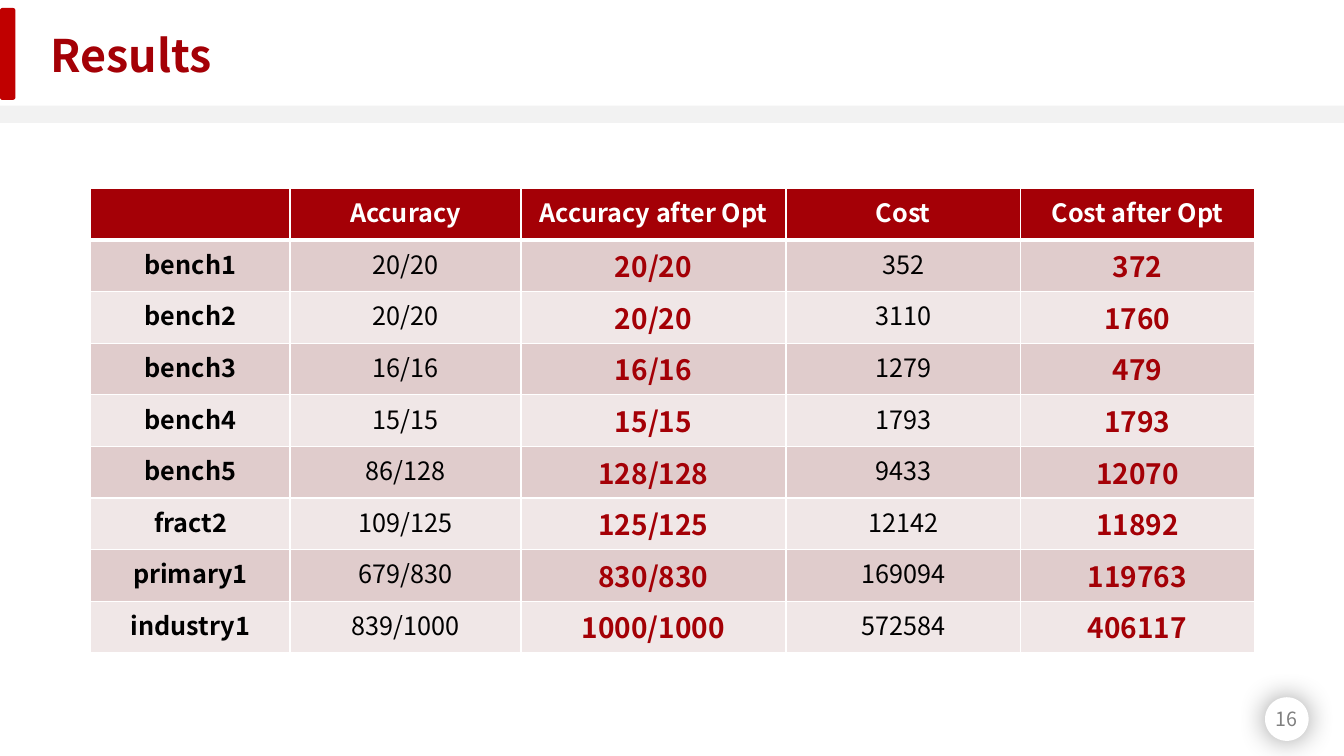
"""Build the Results slide: benchmark accuracy and cost before and after optimisation."""
from lxml import etree
from pptx import Presentation
from pptx.dml.color import RGBColor
from pptx.enum.shapes import MSO_SHAPE
from pptx.enum.text import MSO_ANCHOR, PP_ALIGN
from pptx.oxml.ns import qn
from pptx.util import Cm, Pt

RECTANGLE, ROUNDED, OVAL = MSO_SHAPE.RECTANGLE, MSO_SHAPE.ROUNDED_RECTANGLE, MSO_SHAPE.OVAL
LEFT, CENTER = PP_ALIGN.LEFT, PP_ALIGN.CENTER
MIDDLE = MSO_ANCHOR.MIDDLE

FONT = "Noto Sans CJK SC"
COLORS = {
    "red": "A40006",
    "accent": "C00000",
    "band": "F2F2F2",
    "odd_row": "E0CCCC",
    "even_row": "F0E7E7",
    "white": "FFFFFF",
    "black": "000000",
    "gray": "808080",
}

TITLE = "Results"
PAGE_NUMBER = "16"
HEADINGS = ["", "Accuracy", "Accuracy after Opt", "Cost", "Cost after Opt"]
RESULTS = [
    ("bench1", "20/20", "20/20", "352", "372"),
    ("bench2", "20/20", "20/20", "3110", "1760"),
    ("bench3", "16/16", "16/16", "1279", "479"),
    ("bench4", "15/15", "15/15", "1793", "1793"),
    ("bench5", "86/128", "128/128", "9433", "12070"),
    ("fract2", "109/125", "125/125", "12142", "11892"),
    ("primary1", "679/830", "830/830", "169094", "119763"),
    ("industry1", "839/1000", "1000/1000", "572584", "406117"),
]
COLUMN_WIDTHS = [5.02, 5.82, 6.68, 5.91, 5.89]
COLUMN_STYLES = [
    (18, "black", True),
    (18, "black", False),
    (20, "red", True),
    (18, "black", False),
    (20, "red", True),
]
HEADING_STYLE = (18, "white", True)
ROW_HEIGHT = 1.3
SLIDE_WIDTH, SLIDE_HEIGHT = 33.87, 19.05


def rgb(name):
    return RGBColor.from_string(COLORS[name])


def write(frame, text, style, align):
    size, color, bold = style
    frame.text = text
    paragraph = frame.paragraphs[0]
    paragraph.alignment = align
    for target in [paragraph, *paragraph.runs]:
        target.font.name = FONT
        target.font.size = Pt(size)
        target.font.bold = bold
        target.font.color.rgb = rgb(color)


def add_block(slide, kind, box, color):
    block = slide.shapes.add_shape(kind, *map(Cm, box))
    block.shadow.inherit = False
    block.fill.solid()
    block.fill.fore_color.rgb = rgb(color)
    block.line.fill.background()
    return block


def add_glow(shape):
    effects = shape.element.spPr.find(qn("a:effectLst"))
    glow = etree.SubElement(effects, qn("a:outerShdw"), blurRad=str(Pt(20)), dist="0",
                            dir="0", algn="ctr", rotWithShape="0")
    tint = etree.SubElement(glow, qn("a:srgbClr"), val=COLORS["black"])
    etree.SubElement(tint, qn("a:alpha"), val="40000")


def style_cell(cell, fill, bottom_width, top_width):
    properties = cell._tc.get_or_add_tcPr()
    for side, width in (("L", 1), ("R", 1), ("T", top_width), ("B", bottom_width)):
        border = etree.SubElement(properties, qn(f"a:ln{side}"), w=str(Pt(width)))
        paint = etree.SubElement(border, qn("a:solidFill"))
        etree.SubElement(paint, qn("a:srgbClr"), val=COLORS["white"])
    cell.fill.solid()
    cell.fill.fore_color.rgb = rgb(fill)


def add_results(slide):
    rows = [HEADINGS, *RESULTS]
    results = slide.shapes.add_table(
        len(rows), len(HEADINGS), Cm(2.29), Cm(4.75),
        Cm(sum(COLUMN_WIDTHS)), Cm(ROW_HEIGHT * len(rows))).table
    for column, width in zip(results.columns, COLUMN_WIDTHS):
        column.width = Cm(width)
    for r, values in enumerate(rows):
        results.rows[r].height = Cm(ROW_HEIGHT)
        fill = "red" if r == 0 else "odd_row" if r % 2 else "even_row"
        for c, value in enumerate(values):
            cell = results.cell(r, c)
            style_cell(cell, fill, 3 if r == 0 else 1, 3 if r == 1 else 1)
            write(cell.text_frame, value, HEADING_STYLE if r == 0 else COLUMN_STYLES[c], CENTER)


def main():
    deck = Presentation()
    deck.slide_width, deck.slide_height = Cm(SLIDE_WIDTH), Cm(SLIDE_HEIGHT)
    slide = deck.slides.add_slide(deck.slide_layouts[5])

    add_block(slide, RECTANGLE, (0, 2.66, SLIDE_WIDTH, 0.44), "band")
    add_block(slide, ROUNDED, (0, 0.2, 0.39, 2.32), "accent")

    heading = slide.shapes.title
    heading.left, heading.top, heading.width, heading.height = map(Cm, (1.02, 0.56, 19.2, 1.62))
    heading.text_frame.vertical_anchor = MIDDLE
    write(heading.text_frame, TITLE, (32, "red", True), LEFT)

    add_results(slide)

    add_glow(add_block(slide, OVAL, (31.88, 17.57, 1.1, 1.1), "white"))
    page = slide.shapes.add_textbox(*map(Cm, (31.88, 17.69, 1.1, 0.86))).text_frame
    page.vertical_anchor = MIDDLE
    page.word_wrap = False
    write(page, PAGE_NUMBER, (14, "gray", False), CENTER)

    deck.save("out.pptx")


if __name__ == "__main__":
    main()
